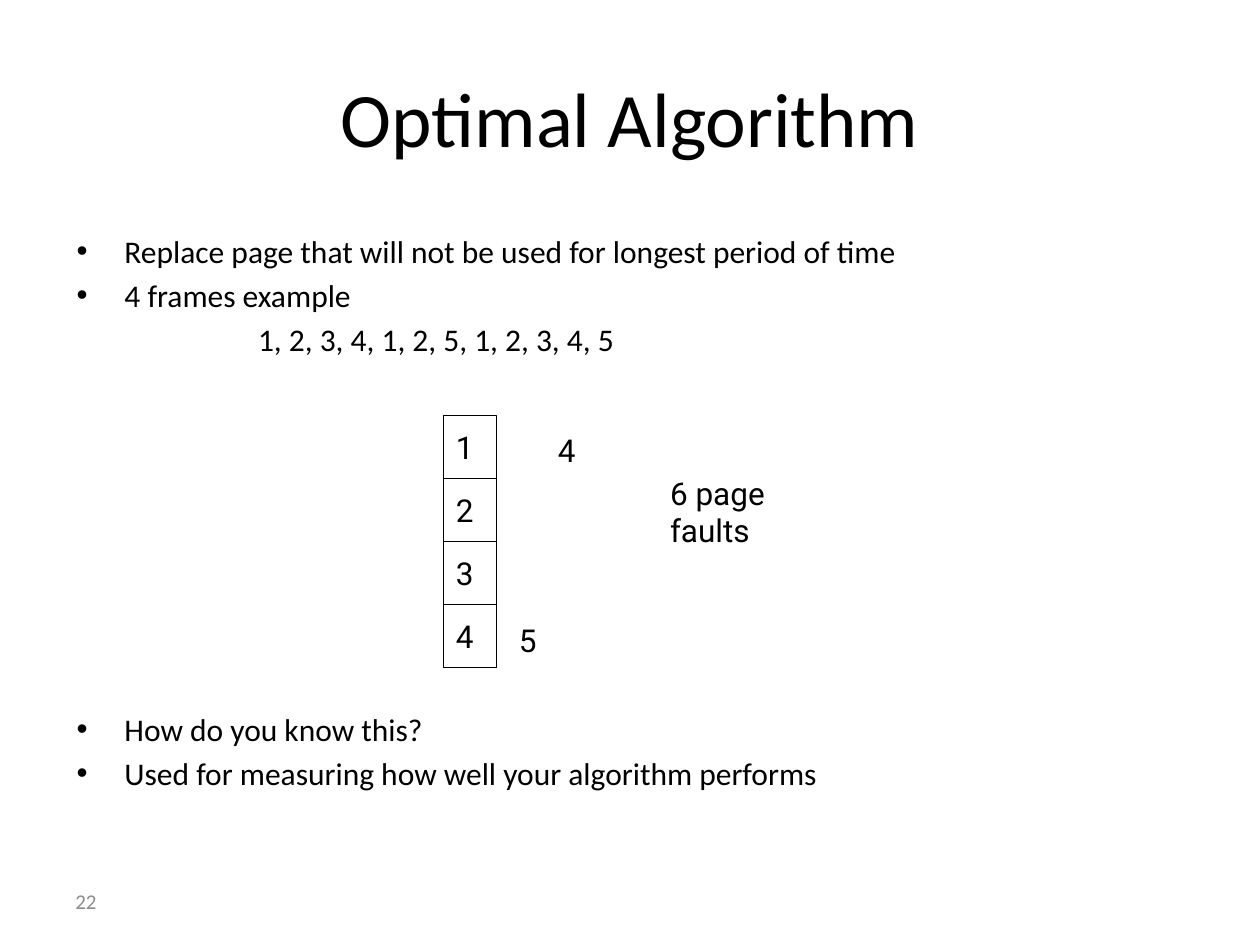
from dataclasses import dataclass

from pptx import Presentation
from pptx.dml.color import RGBColor
from pptx.enum.shapes import MSO_SHAPE as Shape
from pptx.enum.text import MSO_ANCHOR as Anchor, MSO_AUTO_SIZE as AutoSize, PP_ALIGN as Align
from pptx.oxml.ns import qn
from pptx.util import Inches, Pt


@dataclass(frozen=True)
class Theme:
    """Colours, fonts and type sizes of the deck."""
    ink: RGBColor = RGBColor(0x00, 0x00, 0x00)
    muted: RGBColor = RGBColor(0x8C, 0x8C, 0x8C)
    paper: RGBColor = RGBColor(0xFF, 0xFF, 0xFF)
    text_font: str = "Calibri"
    figure_font: str = "Roboto"
    title_size: int = 44
    body_size: int = 18
    number_size: int = 12


THEME = Theme()
BULLETS = [
    ("Replace page that will not be used for longest period of time", True, 0),
    ("4 frames example", True, 3.6),
    ("1, 2, 3, 4, 1, 2, 5, 1, 2, 3, 4, 5", False, 3.6),
    ("How do you know this?", True, 201),
    ("Used for measuring how well your algorithm performs", True, 3.6),
]
FRAMES = ["1", "2", "3", "4"]
FRAME_NOTES = [
    ("4", (4.33, 3.37, 0.34, 0.4)),
    ("6 page faults", (5.22, 3.86, 1.63, 0.4)),
    ("5", (4.02, 4.88, 0.34, 0.4)),
]


def apply(target, **values):
    """Set each named attribute on the target."""
    for name, value in values.items():
        setattr(target, name, value)


def inches(box):
    """Turn a box of plain numbers into lengths."""
    return [Inches(value) for value in box]


def write(para, text, size, font=THEME.text_font, color=THEME.ink):
    """Put one formatted span into a paragraph."""
    span = para.add_run()
    span.text = text
    apply(span.font, name=font, size=Pt(size))
    span.font.color.rgb = color


def indent(para, left, first=0, bullet=None):
    """Indent a paragraph and give it an optional bullet."""
    props = para._p.get_or_add_pPr()
    props.set("marL", str(Inches(left)))
    props.set("indent", str(Inches(first)))
    if bullet:
        props.makeelement
        props.append(props.makeelement(qn("a:buFont"), {"typeface": "Arial"}))
        props.append(props.makeelement(qn("a:buChar"), {"char": bullet}))


def add_label(page, box, text, size=THEME.body_size, font=THEME.figure_font,
              color=THEME.ink, fit=AutoSize.NONE):
    """Add a text box with one line centred vertically."""
    frame = page.shapes.add_textbox(*inches(box)).text_frame
    apply(frame, word_wrap=True, auto_size=fit, vertical_anchor=Anchor.MIDDLE)
    write(frame.paragraphs[0], text, size, font, color)


def add_title(page, box, text):
    """Place and fill the title placeholder."""
    title = page.shapes.title
    apply(title, **dict(zip(("left", "top", "width", "height"), inches(box))))
    apply(title.text_frame, word_wrap=True, vertical_anchor=Anchor.MIDDLE)
    para = title.text_frame.paragraphs[0]
    para.alignment = Align.CENTER
    write(para, text, THEME.title_size)


def add_bullets(page, box):
    """Add the explanation, with room left for the frame diagram."""
    frame = page.shapes.add_textbox(*inches(box)).text_frame
    frame.word_wrap = True
    for index, (text, bulleted, space) in enumerate(BULLETS):
        para = frame.add_paragraph() if index else frame.paragraphs[0]
        if bulleted:
            indent(para, 0.38, -0.38, "•")
        else:
            indent(para, 1.44)
        if space:
            para.space_before = Pt(space)
        write(para, text, THEME.body_size)


def add_frames(page, box):
    """Stack the memory frames evenly inside the box."""
    left, top, width, height = box
    step = height / len(FRAMES)
    for index, number in enumerate(FRAMES):
        cell = page.shapes.add_shape(
            Shape.RECTANGLE, *inches((left, top + index * step, width, step)))
        cell.shadow.inherit = False
        cell.fill.solid()
        cell.fill.fore_color.rgb = THEME.paper
        cell.line.color.rgb = THEME.ink
        cell.line.width = Pt(0.75)
        apply(cell.text_frame, word_wrap=True, vertical_anchor=Anchor.MIDDLE)
        para = cell.text_frame.paragraphs[0]
        para.alignment = Align.LEFT
        write(para, number, THEME.body_size, THEME.figure_font)


def main():
    """Build and save the deck."""
    deck = Presentation()
    apply(deck, slide_width=Inches(10), slide_height=Inches(7.5))
    page = deck.slides.add_slide(deck.slide_layouts[5])
    add_title(page, (0.5, 0.3, 9, 1.25), "Optimal Algorithm")
    add_bullets(page, (0.51, 1.79, 9, 4.95))
    add_frames(page, (3.52, 3.3, 0.42, 2))
    for text, box in FRAME_NOTES:
        add_label(page, box, text, fit=AutoSize.SHAPE_TO_FIT_TEXT)
    add_label(page, (0.5, 6.95, 2.33, 0.4), "22", THEME.number_size,
              THEME.text_font, THEME.muted)
    deck.save("out.pptx")


if __name__ == "__main__":
    main()
